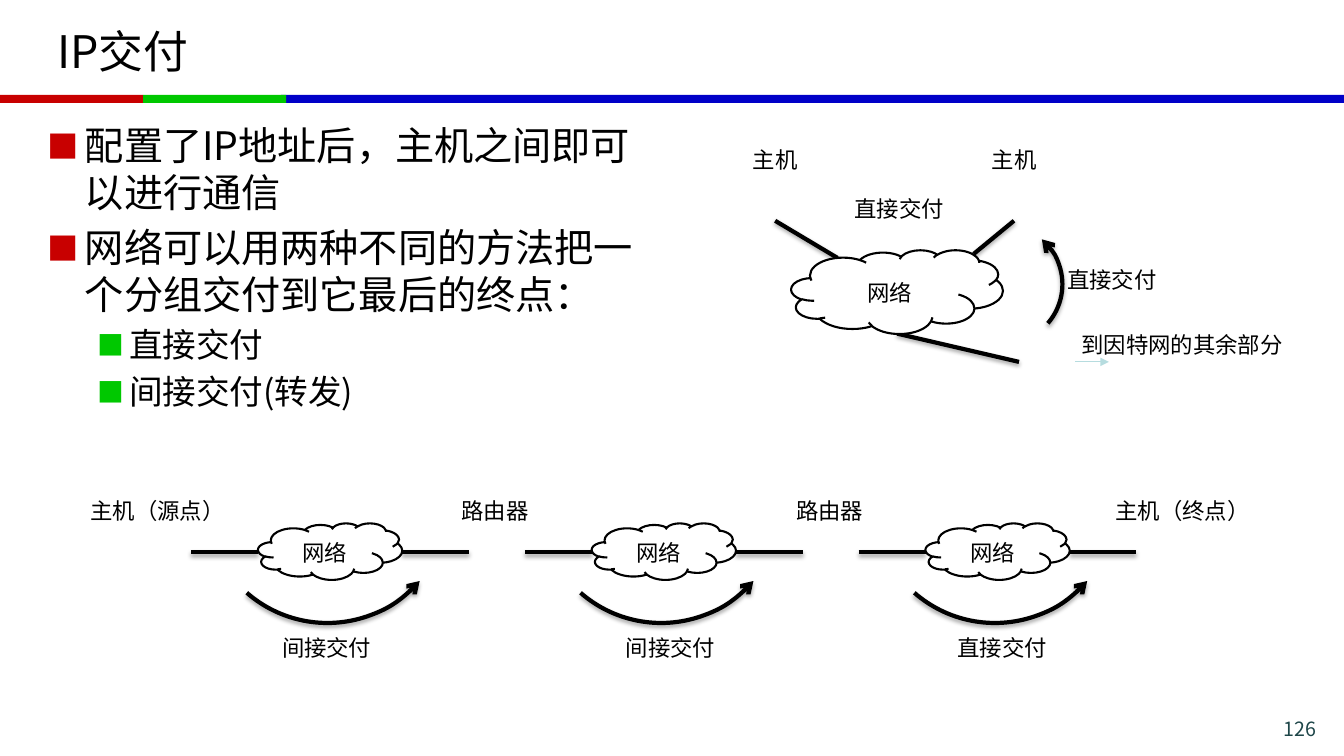
"""Builds the IP delivery slide with its two network diagrams."""
from lxml import etree
from pptx import Presentation
from pptx.dml.color import RGBColor
from pptx.enum import shapes, text
from pptx.oxml import ns
from pptx.util import Pt

BLACK = RGBColor(0, 0, 0)
WHITE = RGBColor(255, 255, 255)
RED = RGBColor(0xC8, 0, 0)
GREEN = RGBColor(0, 0xC8, 0)
BLUE = RGBColor(0, 0, 0xC8)
PALE = RGBColor(0xB6, 0xDC, 0xDF)
SLATE = RGBColor(0x1E, 0x46, 0x49)
FONT = "Noto Sans CJK SC"
LEFT, MID, RIGHT = text.PP_ALIGN.LEFT, text.PP_ALIGN.CENTER, text.PP_ALIGN.RIGHT
CLOUD, ARC, RECT = (shapes.MSO_SHAPE.CLOUD, shapes.MSO_SHAPE.ARC,
                    shapes.MSO_SHAPE.RECTANGLE)

TITLE = "IP交付"
POINTS = [
    (0, "配置了IP地址后，主机之间即可以进行通信"),
    (0, "网络可以用两种不同的方法把一个分组交付到它最后的终点："),
    (1, "直接交付"),
    (1, "间接交付(转发)"),
]
LEVELS = [(28, 27, RED), (24, 58.5, GREEN)]
HANGS = [27, 22.5]
BARS = [(200.88, 759.12, BLUE), (0, 102.24, RED), (102.24, 102.24, GREEN)]
LINKS = [((553.7, 157.7), (598.3, 184.3)), ((724.3, 157.7), (695.5, 181.4)),
         ((727.9, 258.5), (640.8, 238.3))]
LABELS = [
    ("到因特网的其余部分", 765.4, 229, 159.8), ("主机", 530.6, 97.2, 46.8),
    ("主机", 701.3, 97.2, 46.8), ("直接交付", 603.4, 131.8, 79.2),
    ("直接交付", 755.3, 182.9, 79.2), ("主机（源点）", 57.6, 347.8, 111.6),
    ("主机（终点）", 789.8, 347.8, 111.6), ("路由器", 322.6, 347.8, 63.4),
    ("路由器", 561.6, 347.8, 63.4),
]
HOPS = [("间接交付", 194.4), ("间接交付", 439.9), ("直接交付", 676.8)]
HOP_X, HOP_STEP = 184.3, 238.4
CLOUD_W, CLOUD_H, CLOUD_Y = 103, 40.4, 373.7
WIRE_Y, WIRE = 394.4, 47.7

prs = Presentation()
prs.slide_width, prs.slide_height = Pt(960), Pt(540)
slide = prs.slides.add_slide(prs.slide_layouts[5])


def add(parent, tag, **attrs):
    """Append a drawing element."""
    return etree.SubElement(parent, ns.qn("a:" + tag), attrs)


def write(par, words, size=16, color=BLACK, align=LEFT, lead=None):
    """Put formatted words in a paragraph."""
    par.alignment = align
    if lead:
        par.line_spacing = lead
    run = par.add_run()
    run.text = words
    run.font.size = Pt(size)
    run.font.color.rgb = color
    run.font.name = FONT
    add(run.font._element, "ea", typeface=FONT)


def label(words, x, y, wide, high=28.8, wrap=False, **form):
    """Add a text box with one paragraph."""
    frame = slide.shapes.add_textbox(Pt(x), Pt(y), Pt(wide), Pt(high)).text_frame
    frame.word_wrap = wrap
    write(frame.paragraphs[0], words, **form)


def stroke(item, color=BLACK, width=3, shade=True):
    """Set the line and shadow of a shape or connector."""
    item.line.color.rgb = color
    item.line.width = Pt(width)
    props = item._element.spPr
    for old in props.findall(ns.qn("a:effectLst")):
        props.remove(old)
    effect = add(props, "effectLst")
    if shade:
        drop = add(effect, "outerShdw", blurRad=str(Pt(3.1)), dist=str(Pt(1.8)),
                   dir="5400000", rotWithShape="0")
        add(add(drop, "srgbClr", val="000000"), "alpha", val="35000")


def link(start, end, **form):
    """Add a straight line."""
    item = slide.shapes.add_connector(
        shapes.MSO_CONNECTOR.STRAIGHT, *map(Pt, start + end))
    stroke(item, **form)
    return item


def block(kind, x, y, wide, high, fill=None):
    """Add a preset shape without an outline."""
    item = slide.shapes.add_shape(kind, Pt(x), Pt(y), Pt(wide), Pt(high))
    item.shadow.inherit = False
    item.line.fill.background()
    if fill is None:
        item.fill.background()
    else:
        item.fill.solid()
        item.fill.fore_color.rgb = fill
    return item


def cloud(x, y, wide, high):
    """Add a network cloud."""
    item = block(CLOUD, x, y, wide, high, WHITE)
    stroke(item, width=1.5, shade=False)
    frame = item.text_frame
    frame.vertical_anchor = text.MSO_ANCHOR.MIDDLE
    write(frame.paragraphs[0], "网络", align=MID, lead=1.2)


def arc(x, y, size, turn):
    """Add a curved arrow."""
    item = block(ARC, x, y, size, size)
    item.rotation = turn
    stroke(item)
    add(item.line._get_or_add_ln(), "headEnd", type="arrow")


for x, wide, color in BARS:
    block(RECT, x, 67.7, wide, 5.8, color)
label("126", 853.9, 508.3, 93.6, 20.2, wrap=True, size=14, color=SLATE, align=RIGHT)

title = slide.shapes.title
title.left, title.top, title.width, title.height = map(Pt, (33.8, 5.8, 892.1, 60.5))
title.text_frame.vertical_anchor = text.MSO_ANCHOR.MIDDLE
write(title.text_frame.paragraphs[0], TITLE, size=32)

body = slide.shapes.add_textbox(Pt(26.6), Pt(82.8), Pt(453.6), Pt(238.3)).text_frame
body.word_wrap = True
for i, (level, words) in enumerate(POINTS):
    par = body.add_paragraph() if i else body.paragraphs[0]
    size, margin, color = LEVELS[level]
    par.level = level
    props = par._p.get_or_add_pPr()
    props.set("marL", str(Pt(margin)))
    props.set("indent", str(-Pt(HANGS[level])))
    add(add(props, "buClr"), "srgbClr", val=str(color))
    add(props, "buSzPct", val="80000")
    add(props, "buFont", typeface=FONT)
    add(props, "buChar", char="■")
    if i:
        par.space_before = Pt(size * 0.2)
    write(par, words, size=size)

for start, end in LINKS:
    link(start, end)
cloud(565.2, 178.6, 151.2, 59.8)
arrow = link((768.2, 258.5), (792, 258.5), color=PALE, width=0.75, shade=False)
add(arrow.line._get_or_add_ln(), "tailEnd", type="triangle")
arc(673.9, 160.6, 85, 40.9)

for words, x, y, wide in LABELS:
    label(words, x, y, wide, lead=1.2)
for i, (words, x) in enumerate(HOPS):
    edge = HOP_X + i * HOP_STEP
    cloud(edge, CLOUD_Y, CLOUD_W, CLOUD_H)
    for near in (edge - WIRE, edge + CLOUD_W):
        link((near, WIRE_Y), (near + WIRE, WIRE_Y))
    arc(edge - 38, 270, 175, 131.1)
    label(words, x, 445.7, 79.2, lead=1.2)

prs.save("out.pptx")
